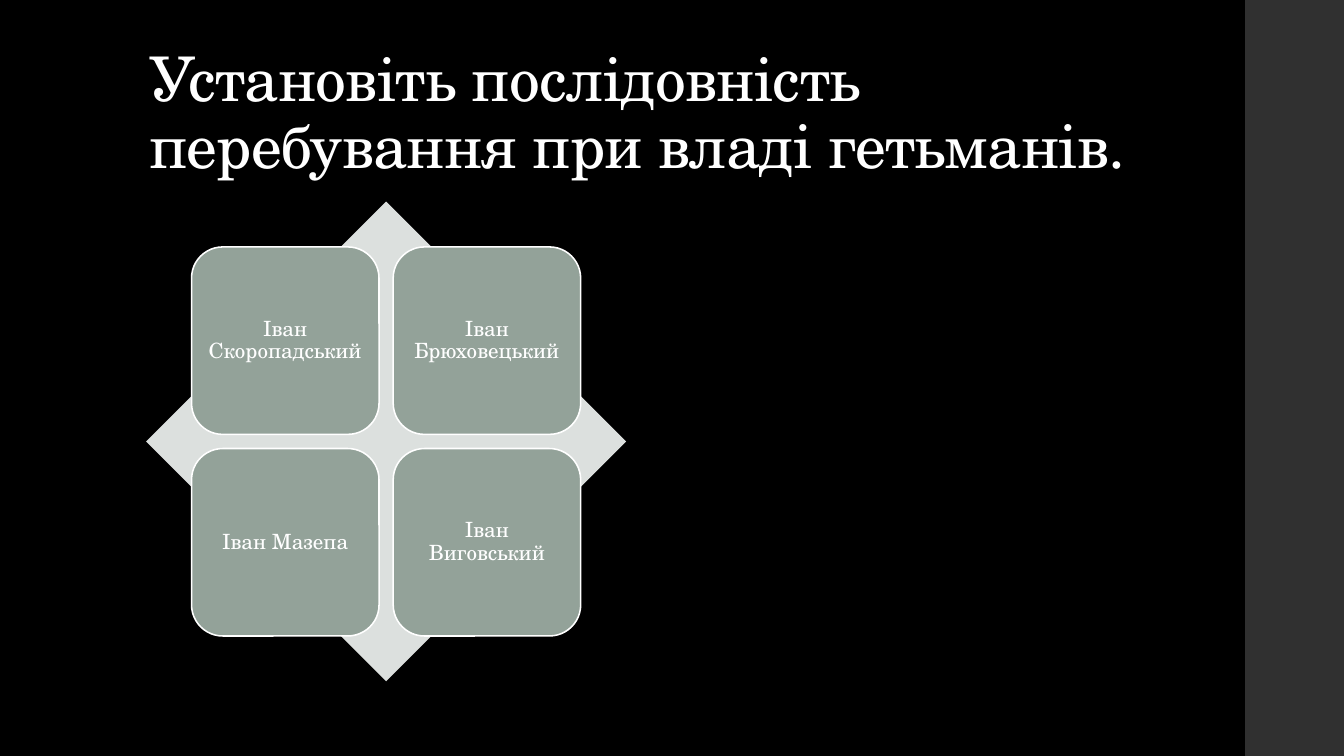
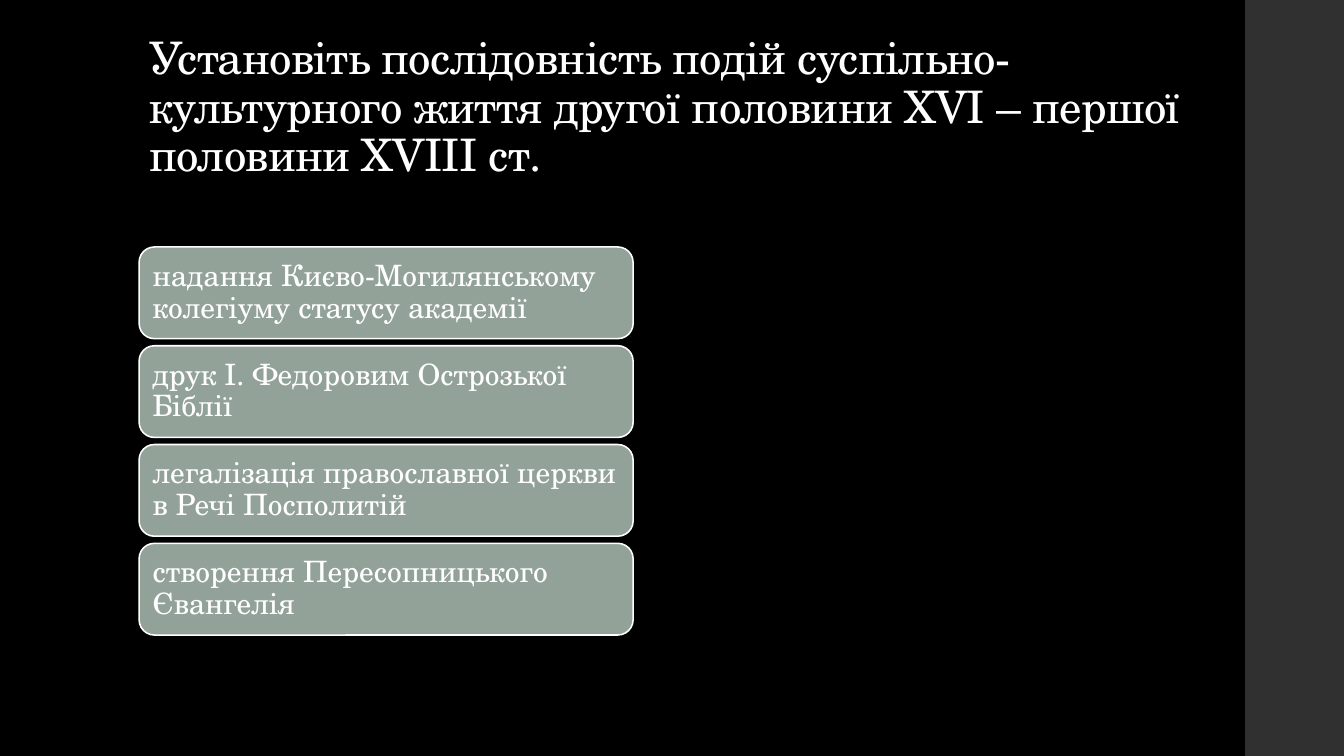
"""Build two black quiz slides: a diamond grid of hetmans and a stack of events."""
import pptx
import pptx.util
import pptx.dml.color
import pptx.enum.shapes
import pptx.enum.text

Inches, Pt = pptx.util.Inches, pptx.util.Pt
RGBColor = pptx.dml.color.RGBColor
Shape = pptx.enum.shapes.MSO_SHAPE
Align, Anchor = pptx.enum.text.PP_ALIGN, pptx.enum.text.MSO_ANCHOR

BLACK = RGBColor(0x00, 0x00, 0x00)
WHITE = RGBColor(0xFF, 0xFF, 0xFF)
GREY = RGBColor(0x30, 0x30, 0x30)
SAGE = RGBColor(0x93, 0xA2, 0x99)
PALE = RGBColor(0xDC, 0xE0, 0xDE)
FONT = "TeX Gyre Schola"
WIDE, HIGH = 13.33, 7.5
BAND = 12.35
TITLE = (1.38, 0.4, 10.6, 1.45)

SLIDES = [
    dict(
        title="Установіть послідовність перебування при владі гетьманів.",
        size=44,
        diamond=(1.45, 2, 4.76, 4.76),
        start=(1.9, 2.45), card=(1.86, 1.86), gap=0.14, cols=2,
        text=dict(size=15, pad=0.06, align=Align.CENTER),
        items=["Іван Скоропадський", "Іван Брюховецький",
               "Іван Мазепа", "Іван Виговський"],
    ),
    dict(
        title="Установіть послідовність подій суспільно-культурного життя "
              "другої половини ХVІ – першої половини ХVІІІ ст.",
        size=32,
        diamond=None,
        start=(1.38, 2.45), card=(4.9, 0.91), gap=0.07, cols=1,
        text=dict(size=21, pad=0.09, align=Align.LEFT),
        items=["надання Києво-Могилянському колегіуму статусу академії",
               "друк І. Федоровим Острозької Біблії",
               "легалізація православної церкви в Речі Посполитій",
               "створення Пересопницького Євангелія"],
    ),
]


def style(thing, **values):
    for name, value in values.items():
        setattr(thing, name, value)


def write(shape, text, size, align, anchor, pad=None):
    frame = shape.text_frame
    frame.text = text
    style(frame, word_wrap=True, vertical_anchor=anchor,
          auto_size=pptx.enum.text.MSO_AUTO_SIZE.NONE)
    if pad is not None:
        for side in ("left", "right", "top", "bottom"):
            setattr(frame, "margin_" + side, Inches(pad))
    para = frame.paragraphs[0]
    style(para, alignment=align, line_spacing=0.9)
    font = para.runs[0].font
    style(font, name=FONT, size=Pt(size))
    font.color.rgb = WHITE


def draw(slide, kind, box, fill, line=None):
    shape = slide.shapes.add_shape(kind, *map(Inches, box))
    shape.shadow.inherit = False
    shape.fill.solid()
    shape.fill.fore_color.rgb = fill
    if line is None:
        shape.line.fill.background()
    else:
        shape.line.color.rgb = line
        shape.line.width = Pt(1.1)
    return shape


def head(slide, text, size):
    title = slide.shapes.title
    style(title, **dict(zip(("left", "top", "width", "height"),
                            map(Inches, TITLE))))
    write(title, text, size, Align.LEFT, Anchor.BOTTOM)
    for props in title.element.xpath(".//a:rPr"):
        props.set("spc", "-50")


def cards(slide, data):
    (left, top), (width, height) = data["start"], data["card"]
    for index, item in enumerate(data["items"]):
        row, col = divmod(index, data["cols"])
        box = (left + col * (width + data["gap"]),
               top + row * (height + data["gap"]), width, height)
        card = draw(slide, Shape.ROUNDED_RECTANGLE, box, SAGE, WHITE)
        write(card, item, anchor=Anchor.MIDDLE, **data["text"])


def dress(master, slide):
    master.background.fill.solid()
    master.background.fill.fore_color.rgb = BLACK
    band = draw(slide, Shape.RECTANGLE, (BAND, 0, WIDE - BAND, HIGH), GREY)
    master.shapes.element.append(band.element)


def main():
    deck = pptx.Presentation()
    style(deck, slide_width=Inches(WIDE), slide_height=Inches(HIGH))
    for index, data in enumerate(SLIDES):
        slide = deck.slides.add_slide(deck.slide_layouts[5])
        if index == 0:
            dress(deck.slide_master, slide)
        head(slide, data["title"], data["size"])
        if data["diamond"]:
            draw(slide, Shape.DIAMOND, data["diamond"], PALE)
        cards(slide, data)
    deck.save("out.pptx")


if __name__ == "__main__":
    main()
